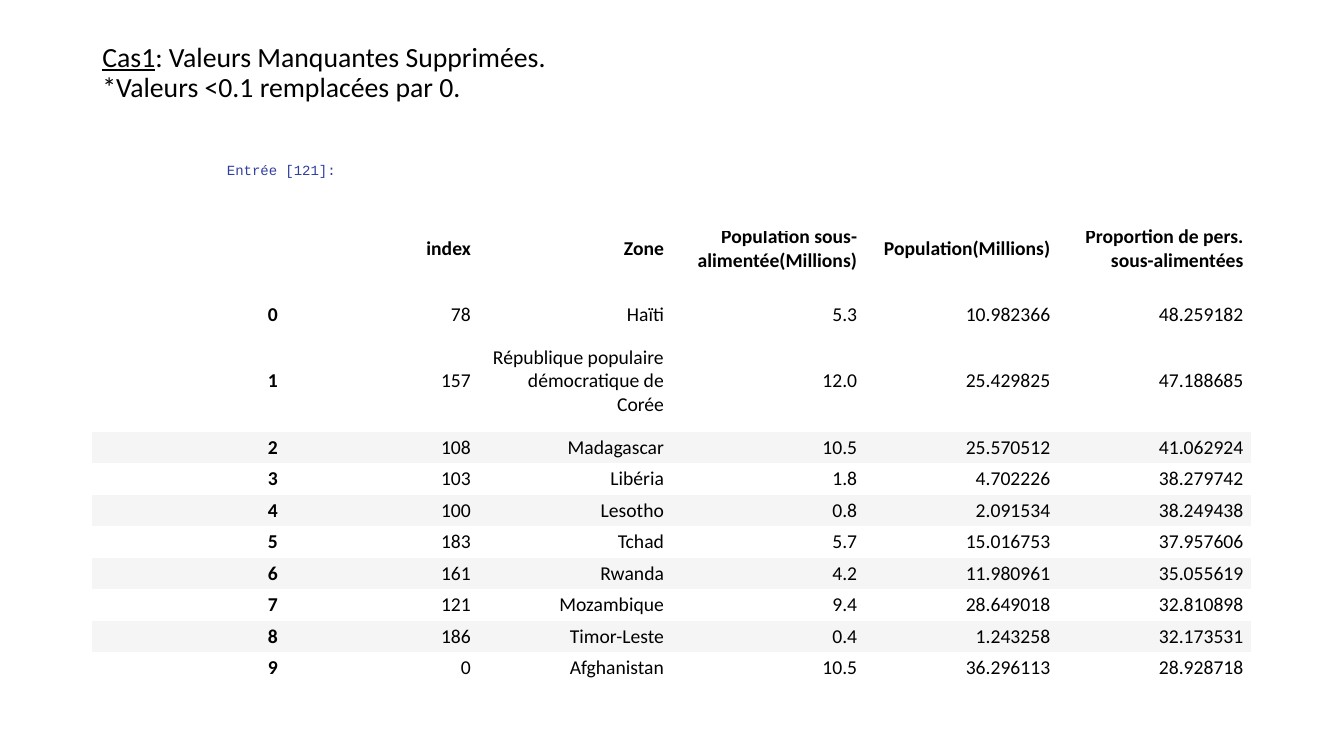
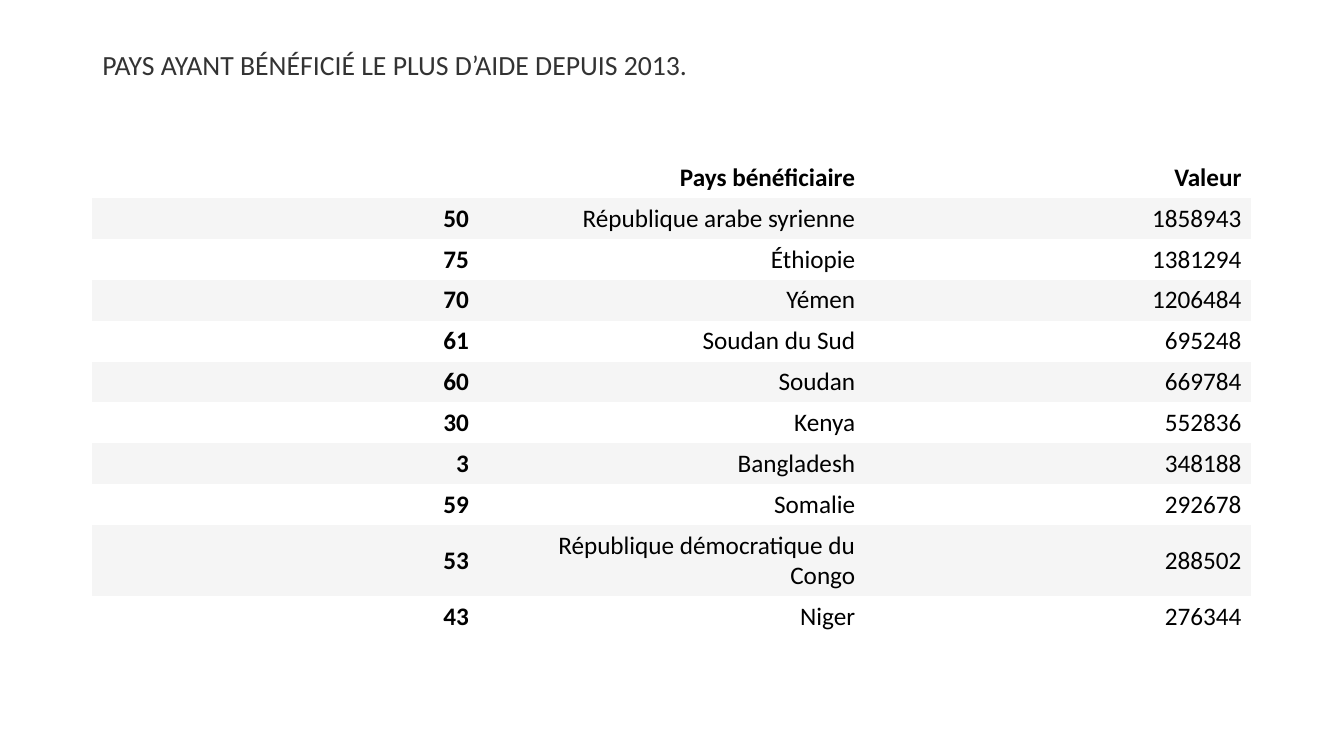
import pptx
import pptx.util
import pptx.dml.color
import pptx.enum.text
import pptx.enum.shapes

Cm = pptx.util.Cm
Pt = pptx.util.Pt
RGBColor = pptx.dml.color.RGBColor
ALIGN = pptx.enum.text.PP_ALIGN
ANCHOR = pptx.enum.text.MSO_ANCHOR

BLACK = RGBColor(0x00, 0x00, 0x00)
GREY = RGBColor(0x33, 0x33, 0x33)
WHITE = RGBColor(0xFF, 0xFF, 0xFF)
BAND = RGBColor(0xF5, 0xF5, 0xF5)
BLUE = RGBColor(0x30, 0x3F, 0x9F)
FONT = "Calibri"
CODE = "Courier New"
PLAIN = "{2D5ABB26-0587-4C30-8999-92F81FD0307C}"
LEFT = 2.33
WIDTH = 29.21

HUNGER = [
    ("", "index", "Zone", "Population sous-alimentée(Millions)",
     "Population(Millions)", "Proportion de pers. sous-alimentées"),
    ("0", "78", "Haïti", "5.3", "10.982366", "48.259182"),
    ("1", "157", "République populaire démocratique de Corée", "12.0",
     "25.429825", "47.188685"),
    ("2", "108", "Madagascar", "10.5", "25.570512", "41.062924"),
    ("3", "103", "Libéria", "1.8", "4.702226", "38.279742"),
    ("4", "100", "Lesotho", "0.8", "2.091534", "38.249438"),
    ("5", "183", "Tchad", "5.7", "15.016753", "37.957606"),
    ("6", "161", "Rwanda", "4.2", "11.980961", "35.055619"),
    ("7", "121", "Mozambique", "9.4", "28.649018", "32.810898"),
    ("8", "186", "Timor-Leste", "0.4", "1.243258", "32.173531"),
    ("9", "0", "Afghanistan", "10.5", "36.296113", "28.928718"),
]
AID = [
    ("", "Pays bénéficiaire", "Valeur"),
    ("50", "République arabe syrienne", "1858943"),
    ("75", "Éthiopie", "1381294"),
    ("70", "Yémen", "1206484"),
    ("61", "Soudan du Sud", "695248"),
    ("60", "Soudan", "669784"),
    ("30", "Kenya", "552836"),
    ("3", "Bangladesh", "348188"),
    ("59", "Somalie", "292678"),
    ("53", "République démocratique du Congo", "288502"),
    ("43", "Niger", "276344"),
]
PAGES = [
    dict(lines=[[("Cas1", True), (": Valeurs Manquantes Supprimées.", False)],
                [("*Valeurs <0.1 remplacées par 0.", False)]],
         color=BLACK, head=(1.02, 1.65), data=HUNGER, top=5, size=14,
         row=0.79, tall={0: 2.54, 2: 2.54}, pads=(0.2, 0.1), first=3,
         label="Entrée [121]:"),
    dict(lines=[[("PAYS AYANT BÉNÉFICIÉ LE PLUS D’AIDE DEPUIS 2013.", False)]],
         color=GREY, head=(1.22, 0.89), data=AID, top=3.96, size=18,
         row=1.03, tall={9: 1.8}, pads=(0.25, 0.13), first=1, label=None),
]


def write(para, text, size, color, font=FONT):
    run = para.add_run()
    run.text = text
    run.font.name = font
    run.font.size = Pt(size)
    run.font.color.rgb = color
    return run


deck = pptx.Presentation()
deck.slide_width = Cm(33.87)
deck.slide_height = Cm(19.05)

for page in PAGES:
    slide = deck.slides.add_slide(deck.slide_layouts[6])

    top, height = page["head"]
    box = slide.shapes.add_textbox(Cm(LEFT), Cm(top), Cm(WIDTH), Cm(height))
    frame = box.text_frame
    frame.word_wrap = True
    frame.vertical_anchor = ANCHOR.MIDDLE
    para = frame.paragraphs[0]
    para.line_spacing = 0.9
    for order, line in enumerate(page["lines"]):
        if order:
            para.add_line_break()
        for text, under in line:
            write(para, text, 19.8, page["color"]).font.underline = under

    data = page["data"]
    count = len(data[0])
    sizes = [page["tall"].get(r, page["row"]) for r in range(len(data))]
    grid = slide.shapes.add_table(len(data), count, Cm(LEFT), Cm(page["top"]),
                                  Cm(WIDTH), Cm(sum(sizes))).table
    grid.first_row = False
    grid.horz_banding = False
    grid._tbl.tblPr.find(pptx.oxml.ns.qn("a:tableStyleId")).text = PLAIN
    for col in grid.columns:
        col.width = Cm(WIDTH / count)
    side, edge = page["pads"]
    for r, record in enumerate(data):
        grid.rows[r].height = Cm(sizes[r])
        shade = BAND if r >= page["first"] and r % 2 else WHITE
        for c, text in enumerate(record):
            cell = grid.cell(r, c)
            cell.fill.solid()
            cell.fill.fore_color.rgb = shade
            cell.vertical_anchor = ANCHOR.MIDDLE
            cell.margin_left = cell.margin_right = Cm(side)
            cell.margin_top = cell.margin_bottom = Cm(edge)
            para = cell.text_frame.paragraphs[0]
            para.alignment = ALIGN.RIGHT
            if text:
                run = write(para, text, page["size"], BLACK)
                run.font.bold = r == 0 or c == 0

    if page["label"]:
        tag = slide.shapes.add_shape(pptx.enum.shapes.MSO_SHAPE.RECTANGLE,
                                     Cm(5.72), Cm(4.07), Cm(22.56), Cm(1.75))
        tag.shadow.inherit = False
        tag.fill.solid()
        tag.fill.fore_color.rgb = WHITE
        tag.line.fill.background()
        frame = tag.text_frame
        frame.word_wrap = True
        frame.vertical_anchor = ANCHOR.TOP
        frame.margin_left = frame.margin_right = 0
        frame.margin_top = frame.margin_bottom = 0
        para = frame.paragraphs[0]
        para.alignment = ALIGN.LEFT
        write(para, page["label"], 10, BLUE, CODE)

deck.save("out.pptx")
